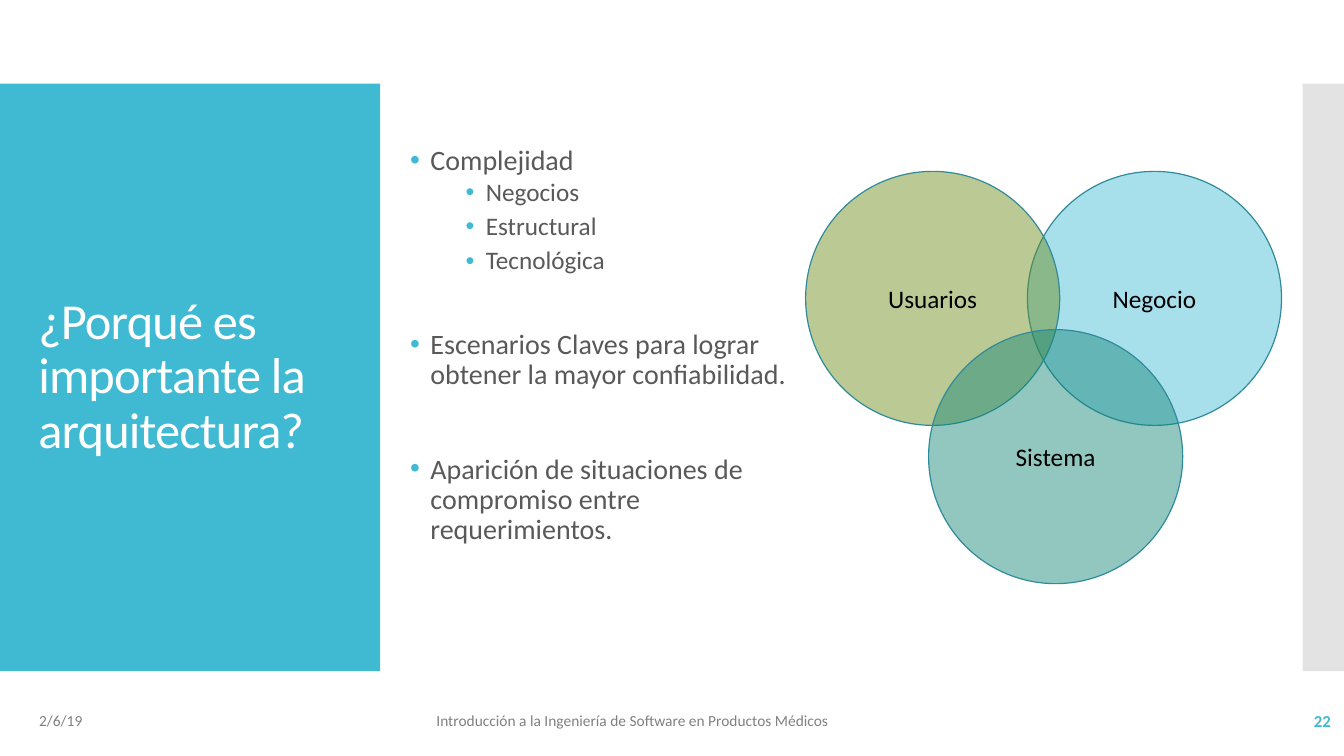
from pptx import Presentation
from pptx.dml.color import RGBColor
from pptx.enum.shapes import MSO_SHAPE
from pptx.enum.text import MSO_ANCHOR, MSO_AUTO_SIZE, PP_ALIGN
from pptx.oxml.ns import qn
from pptx.util import Inches, Pt
from lxml import etree

RECTANGLE, OVAL = MSO_SHAPE.RECTANGLE, MSO_SHAPE.OVAL
MIDDLE, TOP = MSO_ANCHOR.MIDDLE, MSO_ANCHOR.TOP
LEFT, CENTER, RIGHT = PP_ALIGN.LEFT, PP_ALIGN.CENTER, PP_ALIGN.RIGHT


class Theme:
    font = "Calibri"
    accent, side, outline = "40BAD2", "C8C8C8", "2F8A9B"
    white, body, footer, black = "FFFFFF", "595959", "808080", "000000"
    title_size, point_size, detail_size = 36, 20, 18
    footer_size, number_size = 11, 12


TITLE = "¿Porqué es importante la arquitectura?"

# text, level, space before in points
POINTS = [
    ("Complejidad", 0, 0),
    ("Negocios", 1, 2.5),
    ("Estructural", 1, 2.5),
    ("Tecnológica", 1, 2.5),
    ("Escenarios Claves para lograr obtener la mayor confiabilidad.", 0, 36.5),
    ("Aparición de situaciones de compromiso entre requerimientos.", 0, 46),
]
# level: size, space after, left margin in inches
LEVELS = {0: (Theme.point_size, 0, 0.2), 1: (Theme.detail_size, 2.5, 0.75)}
HANGING = 0.2

# text, left, width, alignment, size, colour, bold
FOOTERS = [
    ("2/6/19", 0.29, 3, LEFT, Theme.footer_size, Theme.footer, False),
    ("Introducción a la Ingeniería de Software en Productos Médicos",
     4.23, 6.46, LEFT, Theme.footer_size, Theme.footer, False),
    ("22", 11.63, 1.67, RIGHT, Theme.number_size, Theme.accent, True),
]

# text, left, top, colour
CIRCLES = [
    ("Negocio", 10.19, 1.7, "40BAD2"),
    ("Usuarios", 7.99, 1.7, "6C8C1A"),
    ("Sistema", 9.21, 3.27, "138677"),
]
DIAMETER = 2.52
CIRCLE_OPACITY, SIDE_OPACITY = 46, 50
BAND_TOP, BAND_HEIGHT = 0.83, 5.83


def style(paragraph, size, color, alignment=LEFT, bold=False):
    paragraph.alignment = alignment
    font = paragraph.font
    font.name, font.size, font.bold = Theme.font, Pt(size), bold
    font.color.rgb = RGBColor.from_string(color)


def prepare(frame, anchor):
    frame.word_wrap = True
    frame.auto_size = MSO_AUTO_SIZE.NONE
    frame.vertical_anchor = anchor


def add_filled(slide, kind, box, color, opacity=100):
    shape = slide.shapes.add_shape(kind, *map(Inches, box))
    shape.shadow.inherit = False
    shape.line.fill.background()
    shape.fill.solid()
    shape.fill.fore_color.rgb = RGBColor.from_string(color)
    if opacity < 100:
        color_element = shape.element.spPr.find(qn("a:solidFill"))[0]
        etree.SubElement(color_element, qn("a:alpha"), val=str(opacity * 1000))
    return shape


def add_text_frame(slide, box, anchor):
    frame = slide.shapes.add_textbox(*map(Inches, box)).text_frame
    prepare(frame, anchor)
    return frame


def add_bullet(paragraph, margin):
    properties = paragraph._p.get_or_add_pPr()
    properties.set("marL", str(Inches(margin)))
    properties.set("indent", str(-Inches(HANGING)))
    bullet_color = etree.Element(qn("a:buClr"))
    etree.SubElement(bullet_color, qn("a:srgbClr"), val=Theme.accent)
    bullet_font = etree.Element(qn("a:buFont"), typeface="Arial")
    bullet = etree.Element(qn("a:buChar"), char="•")
    following = properties.find(qn("a:defRPr"))
    for element in (bullet_color, bullet_font, bullet):
        following.addprevious(element)


def place_title(slide, panel):
    title = slide.shapes.title
    title.left, title.top, title.width, title.height = map(
        Inches, (0.28, 1.23, 3.22, 5.03))
    panel.element.addnext(title.element)  # in front of the panel
    frame = title.text_frame
    frame.text = TITLE
    prepare(frame, MIDDLE)
    paragraph = frame.paragraphs[0]
    paragraph.line_spacing = 0.9
    style(paragraph, Theme.title_size, Theme.white)
    paragraph.runs[0]._r.get_or_add_rPr().set("spc", "-60")


def add_points(slide):
    frame = add_text_frame(slide, (3.97, 1.4, 4.02, 4.7), TOP)
    for index, (text, level, space_before) in enumerate(POINTS):
        paragraph = frame.add_paragraph() if index else frame.paragraphs[0]
        size, space_after, margin = LEVELS[level]
        paragraph.text = text
        paragraph.level = level
        paragraph.line_spacing = 0.9
        paragraph.space_before = Pt(space_before)
        paragraph.space_after = Pt(space_after)
        style(paragraph, size, Theme.body)
        add_bullet(paragraph, margin)


def add_footers(slide):
    for text, left, width, alignment, size, color, bold in FOOTERS:
        frame = add_text_frame(slide, (left, 6.95, width, 0.4), MIDDLE)
        frame.text = text
        style(frame.paragraphs[0], size, color, alignment, bold)


def add_circles(slide):
    for text, left, top, color in CIRCLES:
        circle = add_filled(slide, OVAL, (left, top, DIAMETER, DIAMETER),
                            color, CIRCLE_OPACITY)
        circle.line.color.rgb = RGBColor.from_string(Theme.outline)
        circle.line.width = Pt(0.85)
        circle.text_frame.text = text
        prepare(circle.text_frame, MIDDLE)
        style(circle.text_frame.paragraphs[0], Theme.detail_size,
              Theme.black, CENTER)


def main():
    presentation = Presentation()
    presentation.slide_width = Inches(13.33)
    presentation.slide_height = Inches(7.5)
    slide = presentation.slides.add_slide(presentation.slide_layouts[5])
    panel = add_filled(slide, RECTANGLE, (0, BAND_TOP, 3.77, BAND_HEIGHT),
                       Theme.accent)
    add_filled(slide, RECTANGLE, (12.92, BAND_TOP, 0.41, BAND_HEIGHT),
               Theme.side, SIDE_OPACITY)
    place_title(slide, panel)
    add_points(slide)
    add_footers(slide)
    add_circles(slide)
    presentation.save("out.pptx")


if __name__ == "__main__":
    main()
